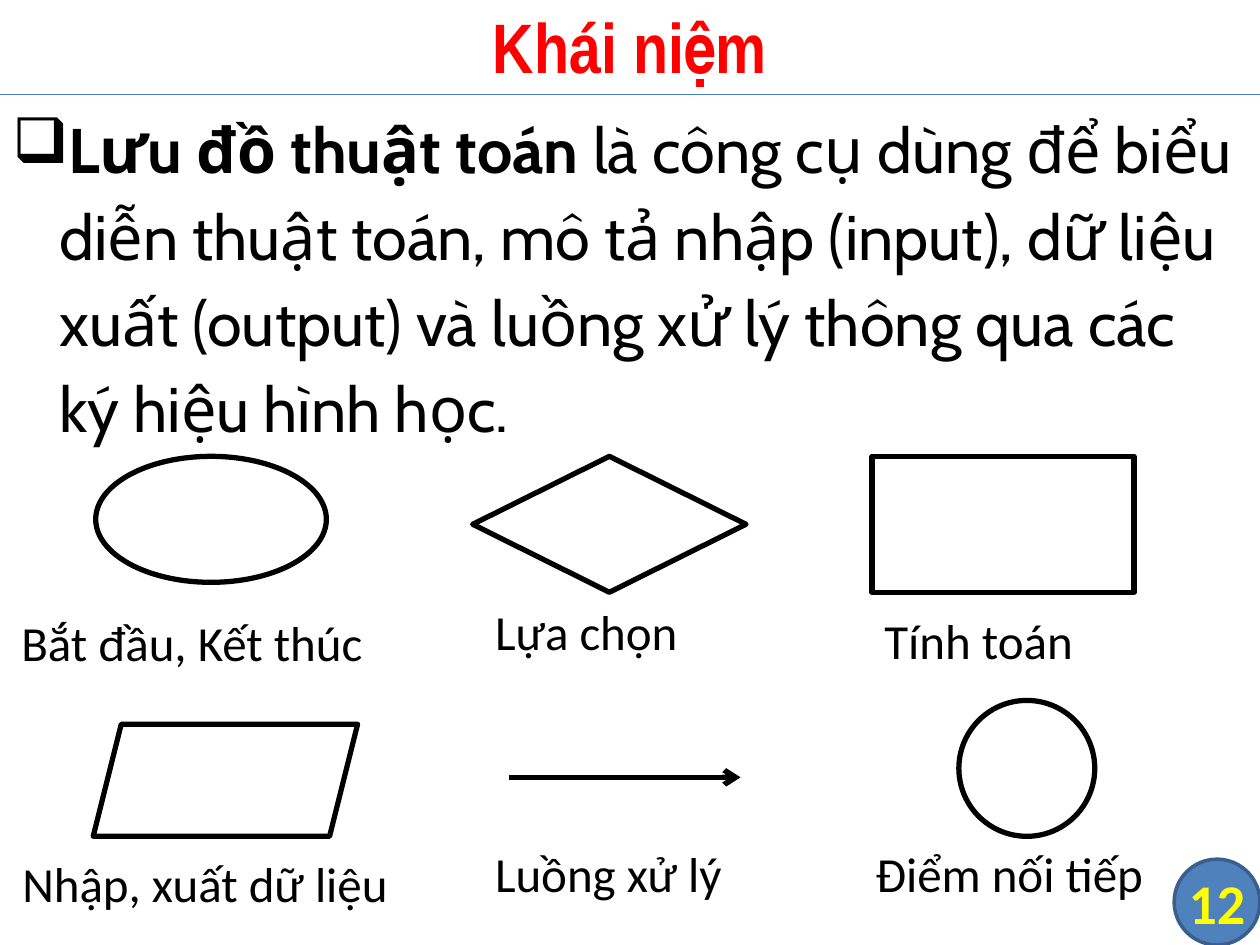
"""Build a slide that introduces the flowchart symbols."""
import lxml.etree
import pptx
import pptx.dml.color
import pptx.enum.shapes
import pptx.enum.text
import pptx.oxml.ns
import pptx.util

Cm = pptx.util.Cm
Pt = pptx.util.Pt
Shape = pptx.enum.shapes.MSO_SHAPE
Align = pptx.enum.text.PP_ALIGN
Anchor = pptx.enum.text.MSO_ANCHOR
AutoSize = pptx.enum.text.MSO_AUTO_SIZE

COLORS = {
    "ink": "000000",
    "title": "FF0000",
    "rule": "4B7EBC",
    "badge": "4F81BD",
    "badge_edge": "3A5F8C",
    "number": "FFFF00",
}
COLUMN_LEFTS = (0.18, 9.53, 17.4)
ROW_TOPS = (9.2, 14.12)
LABEL_HEIGHT = 1.45

SYMBOLS = (
    (
        (Shape.OVAL, (1.75, 0, 4.65, 2.54), "Bắt đầu, Kết thúc", (0, 3.02, 8.18)),
        (Shape.DIAMOND, (0, 0, 5.51, 2.74), "Lựa chọn", (0.2, 2.81, 4.75)),
        (Shape.RECTANGLE, (0.18, 0, 5.28, 2.74), "Tính toán", (0.18, 2.99, 4.72)),
    ),
    (
        (Shape.PARALLELOGRAM, (1.7, 0.48, 5.33, 2.26), "Nhập, xuất dữ liệu", (0.02, 2.97, 8.69)),
        (None, (0.73, 1.55, 4.67, 0), "Luồng xử lý", (0.2, 2.75, 5.74)),
        (Shape.FLOWCHART_CONNECTOR, (1.93, 0, 2.74, 2.74), "Điểm nối tiếp", (0, 2.75, 6.35)),
    ),
)


def color(name):
    """Return the named colour."""
    return pptx.dml.color.RGBColor.from_string(COLORS[name])


def set_font(font, name, size, color_name, bold=None):
    """Format a font."""
    font.name = name
    font.size = Pt(size)
    font.color.rgb = color(color_name)
    font.bold = bold


def set_line(line, color_name, width):
    """Format an outline or a connector line."""
    line.color.rgb = color(color_name)
    line.width = Pt(width)


def add_line(page, left, top, width, color_name, weight, arrow=False):
    """Draw a horizontal line, with an arrowhead at its right end if asked."""
    line = page.shapes.add_connector(
        pptx.enum.shapes.MSO_CONNECTOR.STRAIGHT,
        Cm(left), Cm(top), Cm(left + width), Cm(top),
    )
    set_line(line.line, color_name, weight)
    if arrow:
        outline = line.line._get_or_add_ln()
        lxml.etree.SubElement(outline, pptx.oxml.ns.qn("a:tailEnd"), type="arrow")
    properties = line._element.spPr
    lxml.etree.SubElement(properties, pptx.oxml.ns.qn("a:effectLst"))


def add_title(page, left, top, width, height):
    """Fill the title placeholder and rule it off below."""
    title = page.shapes.title
    title.left, title.top = Cm(left), Cm(top)
    title.width, title.height = Cm(width), Cm(height)
    frame = title.text_frame
    frame.text = "Khái niệm"
    frame.auto_size = AutoSize.NONE
    frame.vertical_anchor = Anchor.MIDDLE
    para = frame.paragraphs[0]
    para.alignment = Align.CENTER
    set_font(para.font, "Arial Narrow", 40, "title", True)
    add_line(page, left, top + height, width, "rule", 0.75)


def add_definition(page, left, top, width, height):
    """Write the bulleted definition of a flowchart."""
    box = page.shapes.add_textbox(Cm(left), Cm(top), Cm(width), Cm(height))
    frame = box.text_frame
    frame.word_wrap = True
    para = frame.paragraphs[0]
    properties = para._p.get_or_add_pPr()
    properties.set("marL", str(Cm(0.95)))
    properties.set("indent", str(-Cm(0.95)))
    lxml.etree.SubElement(properties, pptx.oxml.ns.qn("a:buChar"), char="❑")
    para.line_spacing = 1.14
    set_font(para.font, "Cabin", 36, "ink")
    term = para.add_run()
    term.text = "Lưu đồ thuật toán"
    term.font.bold = True
    para.add_run().text = (
        " là công cụ dùng để biểu diễn thuật toán, mô tả nhập (input), "
        "dữ liệu xuất (output) và luồng xử lý thông qua các ký hiệu hình học."
    )


def add_symbol(page, left, top, kind, outline, caption, label):
    """Draw one flowchart symbol and its label from the corner of its cell."""
    x, y, width, height = outline
    if kind is None:
        add_line(page, left + x, top + y, width, "ink", 3, arrow=True)
    else:
        symbol = page.shapes.add_shape(
            kind, Cm(left + x), Cm(top + y), Cm(width), Cm(height)
        )
        symbol.shadow.inherit = False
        symbol.fill.background()
        set_line(symbol.line, "ink", 3)
    x, y, width = label
    box = page.shapes.add_textbox(
        Cm(left + x), Cm(top + y), Cm(width), Cm(LABEL_HEIGHT)
    )
    frame = box.text_frame
    frame.word_wrap = False
    frame.auto_size = AutoSize.SHAPE_TO_FIT_TEXT
    frame.text = caption
    set_font(frame.paragraphs[0].font, "Calibri", 28, "ink")


def add_badge(page, left, top, size):
    """Draw the round page number."""
    badge = page.shapes.add_shape(
        Shape.FLOWCHART_CONNECTOR, Cm(left), Cm(top), Cm(size), Cm(size)
    )
    badge.shadow.inherit = False
    badge.fill.solid()
    badge.fill.fore_color.rgb = color("badge")
    set_line(badge.line, "badge_edge", 2)
    frame = badge.text_frame
    frame.margin_left = frame.margin_right = 0
    frame.margin_top = frame.margin_bottom = 0
    frame.word_wrap = False
    frame.vertical_anchor = Anchor.MIDDLE
    frame.text = "12"
    para = frame.paragraphs[0]
    para.alignment = Align.CENTER
    set_font(para.font, "Calibri", 32, "number", True)


def main():
    """Build and save the deck."""
    deck = pptx.Presentation()
    deck.slide_width, deck.slide_height = Cm(25.4), Cm(19.05)
    page = deck.slides.add_slide(deck.slide_layouts.get_by_name("Title Only"))
    add_title(page, 0, -0.08, 25.4, 1.98)
    add_definition(page, 0, 1.9, 25.4, 7.3)
    for top, row in zip(ROW_TOPS, SYMBOLS):
        for left, symbol in zip(COLUMN_LEFTS, row):
            add_symbol(page, left, top, *symbol)
    add_badge(page, 23.67, 17.32, 1.73)
    deck.save("out.pptx")


if __name__ == "__main__":
    main()
